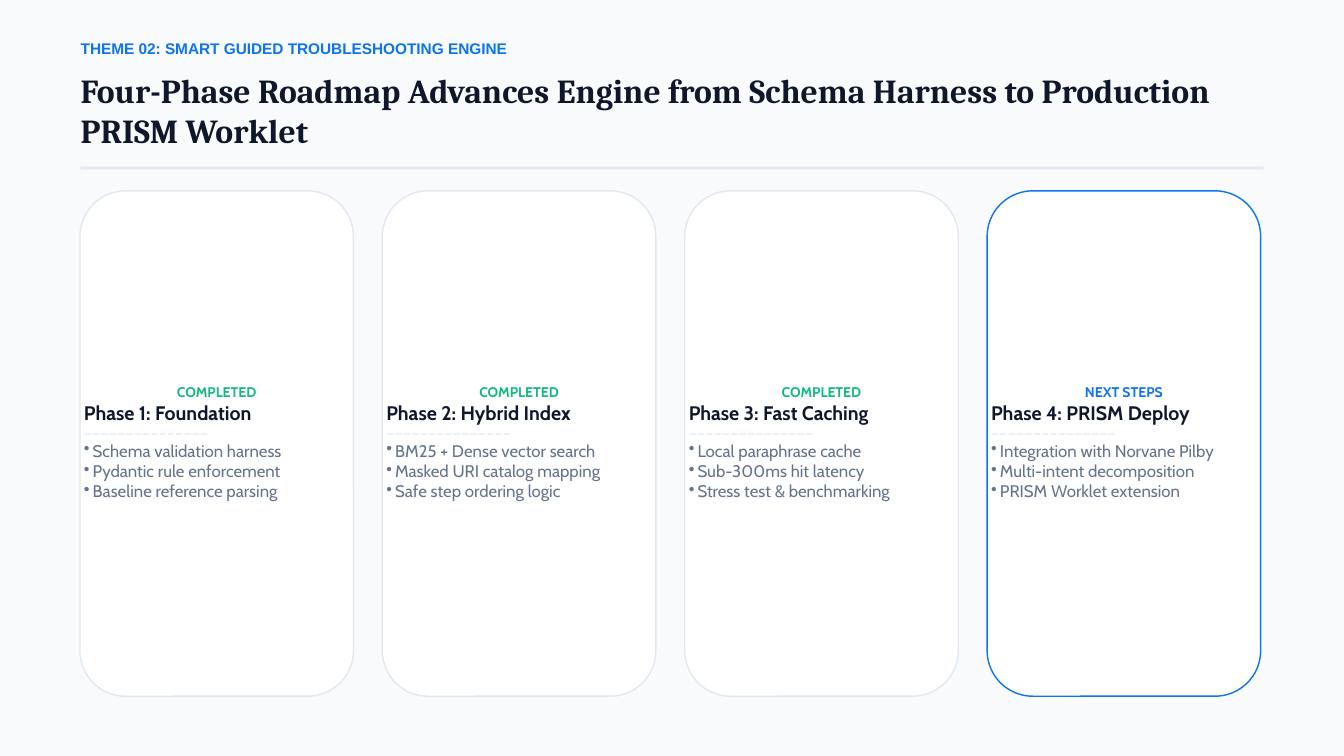
"""Build the four-phase roadmap slide."""
from lxml.etree import SubElement
from pptx import Presentation
from pptx.dml.color import RGBColor
from pptx.enum.shapes import MSO_SHAPE as Shape
from pptx.enum.text import MSO_ANCHOR as Anchor, PP_ALIGN as Align
from pptx.oxml.ns import qn
from pptx.util import Inches, Pt

BLUE = RGBColor(0x0E, 0x74, 0xE9)
GREEN = RGBColor(0x10, 0xB9, 0x81)
INK = RGBColor(0x0F, 0x17, 0x2A)
SLATE = RGBColor(0x64, 0x74, 0x8B)
MIST = RGBColor(0xE2, 0xE8, 0xF0)
PAPER = RGBColor(0xF8, 0xFA, 0xFC)
WHITE = RGBColor(0xFF, 0xFF, 0xFF)

LEFT, TOP, WIDTH, HEIGHT, PITCH = 1.19, 2.84, 4.07, 7.52, 4.5

PHASES = [
    ("COMPLETED", GREEN, MIST, "Phase 1: Foundation",
     ["Schema validation harness", "Pydantic rule enforcement", "Baseline reference parsing"]),
    ("COMPLETED", GREEN, MIST, "Phase 2: Hybrid Index",
     ["BM25 + Dense vector search", "Masked URI catalog mapping", "Safe step ordering logic"]),
    ("COMPLETED", GREEN, MIST, "Phase 3: Fast Caching",
     ["Local paraphrase cache", "Sub-300ms hit latency", "Stress test & benchmarking"]),
    ("NEXT STEPS", BLUE, BLUE, "Phase 4: PRISM Deploy",
     ["Integration with Norvane Pilby", "Multi-intent decomposition", "PRISM Worklet extension"]),
]


class Deck:
    def __init__(self, slide, body="Cabin"):
        self.slide = slide
        self.body = body

    def shape(self, kind, x, y, w, h, fill, edge=None):
        item = self.slide.shapes.add_shape(kind, Inches(x), Inches(y), Inches(w), Inches(h))
        item.shadow.inherit = False
        item.fill.solid()
        item.fill.fore_color.rgb = fill
        if edge is None:
            item.line.fill.background()
        else:
            item.line.color.rgb = edge
            item.line.width = Pt(1.5)

    def frame(self, x, y, w, h, pad=0, anchor=Anchor.TOP):
        frame = self.slide.shapes.add_textbox(Inches(x), Inches(y), Inches(w), Inches(h)).text_frame
        frame.word_wrap = True
        frame.vertical_anchor = anchor
        frame.margin_left = frame.margin_right = Inches(pad)
        frame.margin_top = frame.margin_bottom = Inches(pad)
        return frame

    def style(self, para, text, size, color, bold=False, font=None):
        para.text = text
        para.line_spacing = Pt(size * 1.2)
        face = para.runs[0].font
        face.name = font or self.body
        face.size = Pt(size)
        face.bold = bold
        face.color.rgb = color

    def title(self, text, y, h, size, color, font):
        para = self.frame(1.2, y, 17.55, h).paragraphs[0]
        self.style(para, text, size, color, True, font)

    def bullet(self, para, text):
        self.style(para, text, 18, SLATE)
        props = para._p.get_or_add_pPr()
        props.set("marL", str(Inches(0.13)))
        props.set("indent", str(-Inches(0.13)))
        SubElement(props, qn("a:buChar"), char="•")

    def card(self, x, status, tint, edge, name, points):
        self.shape(Shape.ROUNDED_RECTANGLE, x, TOP, WIDTH, HEIGHT, WHITE, edge)
        frame = self.frame(x, TOP - 0.03, WIDTH, HEIGHT + 0.03, 0.06, Anchor.MIDDLE)
        head = frame.paragraphs[0]
        self.style(head, status, 15, tint, True)
        head.alignment = Align.CENTER
        self.style(frame.add_paragraph(), name, 21, INK, True)
        self.style(frame.add_paragraph(), "—" * 15, 15, MIST)
        for point in points:
            self.bullet(frame.add_paragraph(), point)


def main():
    show = Presentation()
    show.slide_width, show.slide_height = Inches(20), Inches(11.25)
    slide = show.slides.add_slide(show.slide_layouts[6])
    back = slide.background.fill
    back.solid()
    back.fore_color.rgb = PAPER

    deck = Deck(slide)
    deck.title("THEME 02: SMART GUIDED TROUBLESHOOTING ENGINE", 0.58, 0.47, 16.5, BLUE, "Arial")
    deck.title("Four-Phase Roadmap Advances Engine from Schema Harness to Production PRISM Worklet",
               1.04, 1.36, 36, INK, "Cambria")
    deck.shape(Shape.RECTANGLE, 1.2, 2.48, 17.6, 0.04, MIST)
    for index, phase in enumerate(PHASES):
        deck.card(LEFT + index * PITCH, *phase)
    show.save("out.pptx")


if __name__ == "__main__":
    main()
